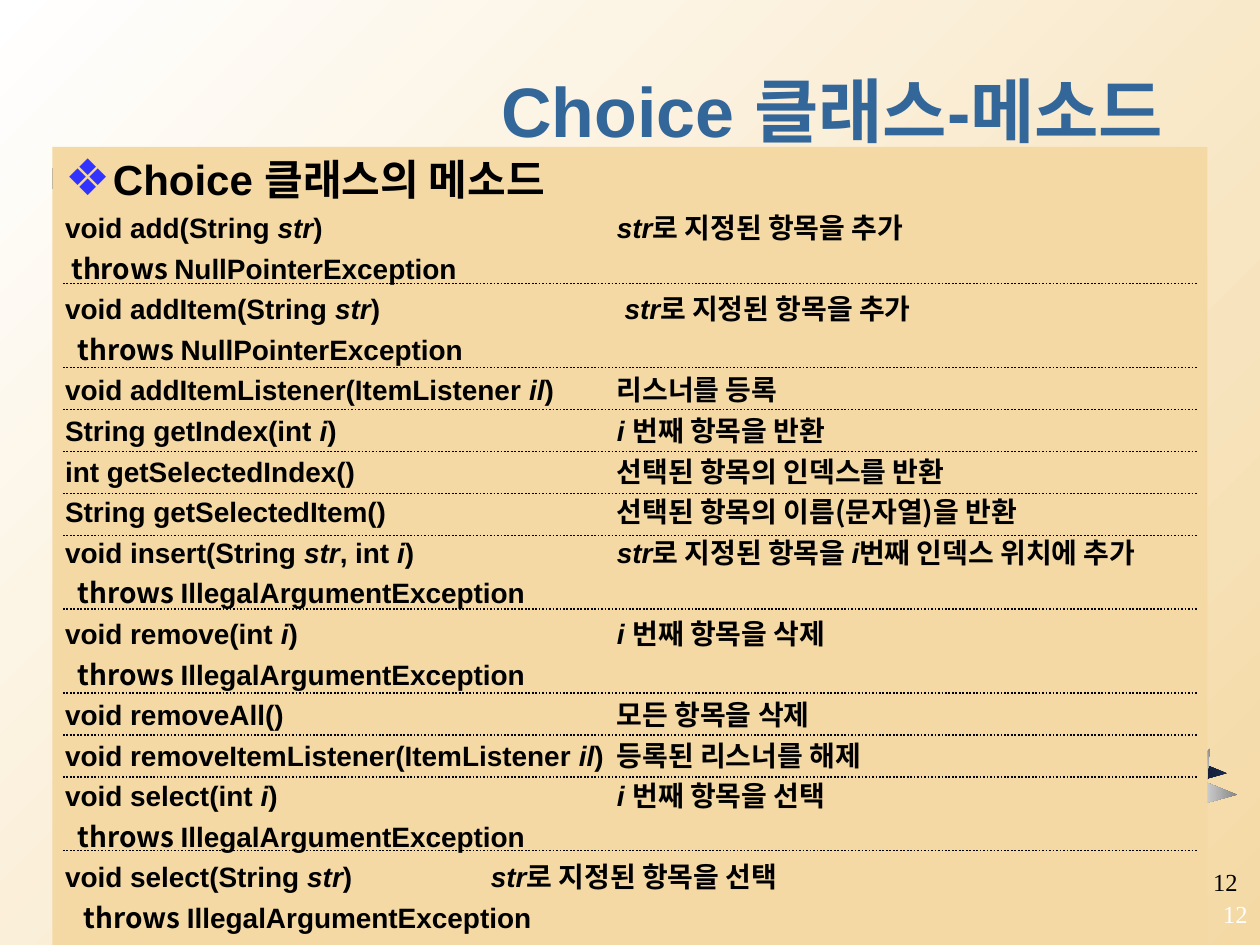
from itertools import accumulate

from lxml.etree import SubElement
from pptx import Presentation
from pptx.dml.color import RGBColor
from pptx.enum.dml import MSO_LINE
from pptx.enum.shapes import MSO_CONNECTOR, MSO_SHAPE
from pptx.enum.text import MSO_ANCHOR as Anchor, MSO_AUTO_SIZE, PP_ALIGN as Align
from pptx.oxml import parse_xml
from pptx.oxml.ns import nsdecls, qn
from pptx.util import Inches, Pt

LATIN, KOREAN, SERIF = "Arial", "Noto Sans CJK KR", "Times New Roman"
BLACK, WHITE, SAND = "000000", "FFFFFF", "F4D9A4"
NAVY, SILVER = ("0D1526", "1E2E53"), ("EAEAEA", "6B6B6B")

TITLE = "Choice 클래스-메소드"
HEADING = "Choice 클래스의 메소드"
NULL, ILLEGAL = "NullPointerException", "IllegalArgumentException"
COLUMN = 4.38
# Signature, description (*italic*), tab stop, exception, its indent,
# and the distance to the dotted rule below in twelfths of an inch
METHODS = [
    ("void add(String *str*)", "*str*로 지정된 항목을 추가", COLUMN, NULL, 0.05, 0),
    ("void addItem(String *str*)", "*str*로 지정된 항목을 추가", COLUMN + 0.06, NULL, 0.1, 8),
    ("void addItemListener(ItemListener *il*)", "리스너를 등록", COLUMN, None, 0, 4),
    ("String getIndex(int *i*)", "*i *번째 항목을 반환", COLUMN, None, 0, 4),
    ("int getSelectedIndex()", "선택된 항목의 인덱스를 반환", COLUMN, None, 0, 4),
    ("String getSelectedItem()", "선택된 항목의 이름(문자열)을 반환", COLUMN, None, 0, 4),
    ("void insert(String *str*, int *i*)", "*str*로 지정된 항목을 *i*번째 인덱스 위치에 추가",
     COLUMN, ILLEGAL, 0.1, 7),
    ("void remove(int *i*)", "*i *번째 항목을 삭제", COLUMN, ILLEGAL, 0.1, 8),
    ("void removeAll()", "모든 항목을 삭제", COLUMN, None, 0, 4),
    ("void removeItemListener(ItemListener *il*)", "등록된 리스너를 해제", COLUMN, None, 0, 4),
    ("void select(int *i*)", "*i *번째 항목을 선택", COLUMN, ILLEGAL, 0.1, 7),
    ("void select(String *str*)", "*str*로 지정된 항목을 선택", COLUMN - 1, ILLEGAL, 0.15, None),
]
FIRST_RULE = 2.25
# Shape, left, top, width, height, rotation, colours
ORNAMENTS = [
    (MSO_SHAPE.STAR_5_POINT, 9.06, 5.75, 0.67, 0.67, 22, NAVY),
    (MSO_SHAPE.STAR_5_POINT, 9.14, 5.92, 0.67, 0.67, 22, SILVER),
    (MSO_SHAPE.RECTANGLE, 5 / 12, 4 / 3, 8.83, 1 / 6, 0, NAVY),
]
# Left, top, anchor, colour
PAGE_NUMBERS = [(7.84, 6.83, Anchor.TOP, BLACK), (7.92, 7, Anchor.MIDDLE, WHITE)]


def colour(code):
    return RGBColor.from_string(code)


def place(shape, left, top, width, height):
    shape.left, shape.top = Inches(left), Inches(top)
    shape.width, shape.height = Inches(width), Inches(height)


def set_gradient(fill, codes):
    fill.gradient()
    for stop, code in zip(fill.gradient_stops, codes):
        stop.color.rgb = colour(code)


def style(para, name, size, code, bold=False):
    font = para.font
    font.name, font.size, font.bold = name, Pt(size), bold
    font.color.rgb = colour(code)


def add_spans(para, text, name):
    for index, part in enumerate(text.split("*")):
        if part:
            span = para.add_run()
            span.text = part
            italic = index % 2 == 1
            span.font.italic = italic
            span.font.name = LATIN if italic else name


def add_row(frame, indent=0, tab=None):
    para = frame.add_paragraph()
    para.alignment = Align.JUSTIFY
    para.line_spacing, para.space_before = 1.0, Pt(4)
    props = para._p.get_or_add_pPr()
    props.set("marL", str(Inches(indent)))
    props.set("indent", "0")
    SubElement(props, qn("a:buNone"))
    if tab:
        position = str(Inches(tab))
        props.set("defTabSz", position)
        stops = SubElement(props, qn("a:tabLst"))
        SubElement(stops, qn("a:tab"), pos=position, algn="l")
    style(para, LATIN, 16, BLACK, bold=True)
    return para


deck = Presentation()
deck.slide_width, deck.slide_height = Inches(10), Inches(7.5)
page = deck.slides.add_slide(deck.slide_layouts[1])
set_gradient(page.background.fill, (SAND, WHITE))
page.background.fill.gradient_angle = 135

# Ornaments behind the panel
for kind, left, top, width, height, turn, codes in ORNAMENTS:
    shape = page.shapes.add_shape(kind, *map(Inches, (left, top, width, height)))
    shape.rotation = turn
    shape.shadow.inherit = False
    shape.line.fill.background()
    set_gradient(shape.fill, codes)
    linear = shape._element.spPr.find(".//" + qn("a:lin"))
    linear.getparent().replace(linear, parse_xml(
        f'<a:path {nsdecls("a")} path="rect">'
        '<a:fillToRect l="50000" t="50000" r="50000" b="50000"/></a:path>'))

# Title
title = page.shapes.title
place(title, 5 / 6, 1 / 3, 8.5, 11 / 12)
frame = title.text_frame
frame.text = TITLE
frame.auto_size, frame.vertical_anchor = MSO_AUTO_SIZE.NONE, Anchor.BOTTOM
frame.paragraphs[0].alignment = Align.RIGHT
style(frame.paragraphs[0], LATIN, 40, "336699", bold=True)

# Panel with heading, brought in front of the ornaments
panel = page.placeholders[1]
place(panel, 5 / 12, 7 / 6, 55 / 6, 19 / 3)
panel.fill.solid()
panel.fill.fore_color.rgb = colour(SAND)
page.shapes._spTree.append(panel._element)
frame = panel.text_frame
frame.text = HEADING
frame.auto_size, frame.vertical_anchor = MSO_AUTO_SIZE.NONE, Anchor.TOP
heading = frame.paragraphs[0]
heading.line_spacing, heading.space_before = 1.0, Pt(0)
props = heading._p.get_or_add_pPr()
props.set("marL", str(Inches(0.38)))
props.set("indent", str(Inches(-0.38)))
SubElement(SubElement(props, qn("a:buClr")), qn("a:srgbClr"), val="3333FF")
SubElement(props, qn("a:buSzPct"), val="120000")
SubElement(props, qn("a:buChar"), char="❖")
style(heading, LATIN, 24, BLACK, bold=True)

# Method rows
for signature, description, tab, exception, indent, _ in METHODS:
    para = add_row(frame, tab=tab)
    add_spans(para, signature + "\t", LATIN)
    add_spans(para, description, KOREAN)
    if exception:
        para = add_row(frame, indent)
        add_spans(para, "throws ", KOREAN)
        add_spans(para, exception, LATIN)

# Dotted rules between methods
for twelfths in accumulate(method[-1] for method in METHODS[:-1]):
    y = Inches(FIRST_RULE + twelfths / 12)
    rule = page.shapes.add_connector(MSO_CONNECTOR.STRAIGHT, Inches(0.5), y, Inches(9.5), y)
    rule.line.color.rgb = colour(BLACK)
    rule.line.width, rule.line.dash_style = Pt(1), MSO_LINE.ROUND_DOT
    SubElement(rule._element.spPr, qn("a:effectLst"))

# Page numbers
for left, top, anchor, code in PAGE_NUMBERS:
    box = page.shapes.add_textbox(*map(Inches, (left, top, 2.08, 0.5)))
    frame = box.text_frame
    frame.word_wrap, frame.vertical_anchor = True, anchor
    frame.text = "12"
    frame.paragraphs[0].alignment = Align.RIGHT
    style(frame.paragraphs[0], SERIF, 14, code)

deck.save("out.pptx")
